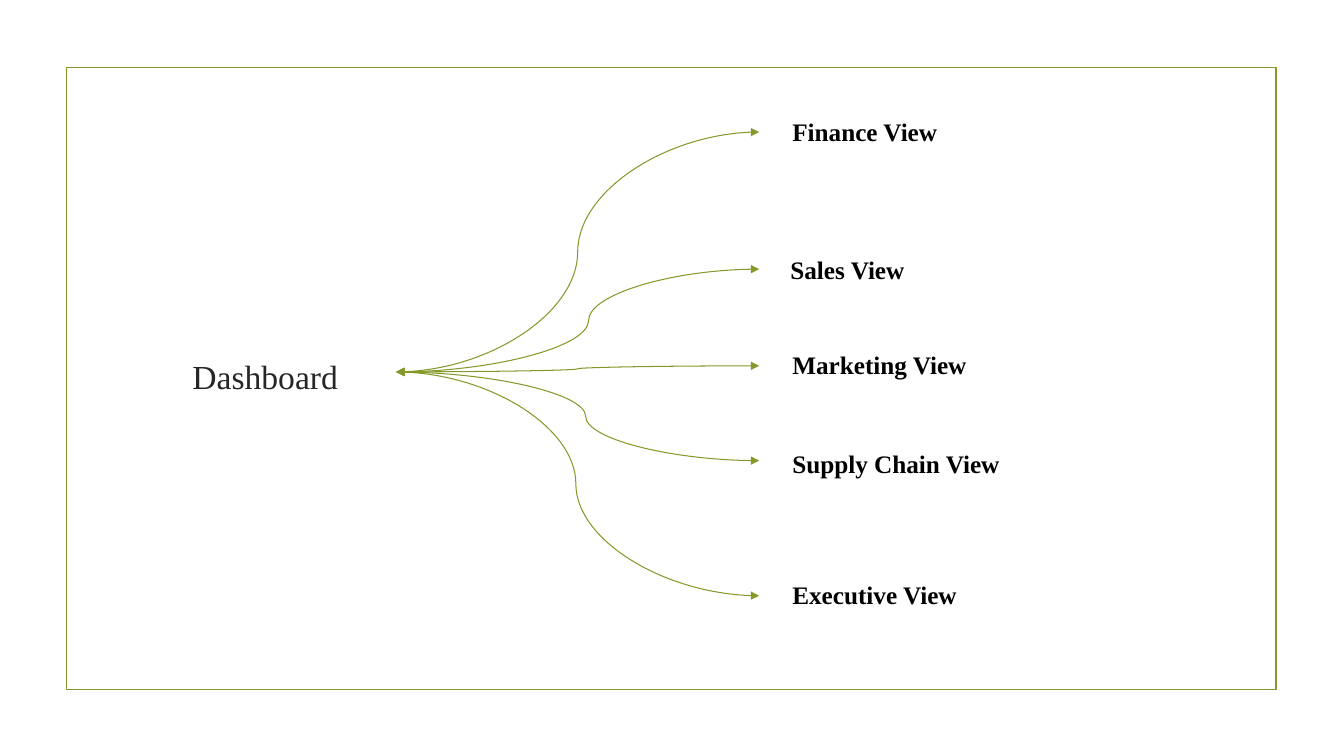
from lxml import etree
from pptx import Presentation
from pptx import util as u
from pptx.dml.color import RGBColor
from pptx.enum import shapes, text
from pptx.oxml.ns import qn

OLIVE = RGBColor(0x83, 0x99, 0x2A)
DARK = RGBColor(0x26, 0x26, 0x26)
BLACK = RGBColor(0, 0, 0)
PX = 9144  # 100 px to the inch


def emu(*px):
    return [u.Emu(n * PX) for n in px]


class Board:
    face = "Times New Roman"

    def __init__(self, deck):
        self.slide = deck.slides.add_slide(deck.slide_layouts[5])
        self.shapes = self.slide.shapes

    def fill(self, box, words, align, frame, font):
        tf = box.text_frame
        tf.text = words
        for key, val in frame.items():
            setattr(tf, key, val)
        para = tf.paragraphs[0]
        para.alignment = align
        run = para.runs[0].font
        run.color.rgb = font.pop("color")
        for key, val in font.items():
            setattr(run, key, val)

    def frame(self, *spot):
        box = self.shapes.add_shape(shapes.MSO_SHAPE.RECTANGLE, *emu(*spot))
        box.shadow.inherit = False
        box.fill.background()
        box.line.color.rgb = OLIVE
        box.line.width = u.Pt(1.25)

    def title(self, words, *spot):
        box = self.shapes.title
        box.left, box.top, box.width, box.height = emu(*spot)
        self.fill(box, words, text.PP_ALIGN.CENTER,
                  dict(word_wrap=True, auto_size=text.MSO_AUTO_SIZE.NONE,
                       vertical_anchor=text.MSO_ANCHOR.MIDDLE),
                  dict(name=self.face, size=u.Pt(24), color=DARK))

    def label(self, words, *spot):
        box = self.shapes.add_textbox(*emu(*spot))
        self.fill(box, words, text.PP_ALIGN.LEFT,
                  dict(word_wrap=True,
                       auto_size=text.MSO_AUTO_SIZE.SHAPE_TO_FIT_TEXT),
                  dict(name=self.face, size=u.Pt(18), bold=True, color=BLACK))

    def curve(self, bend, *ends):
        link = self.shapes.add_connector(shapes.MSO_CONNECTOR.CURVE, *emu(*ends))
        link.line.color.rgb = OLIVE
        link.line.width = u.Pt(0.75)
        # Arrowheads, bend point and no shadow
        props = link._element.spPr
        for tag in ("a:headEnd", "a:tailEnd"):
            etree.SubElement(props.find(qn("a:ln")), qn(tag), type="triangle")
        guides = props.find(qn("a:prstGeom")).find(qn("a:avLst"))
        etree.SubElement(guides, qn("a:gd"), name="adj1", fmla=f"val {bend * 100}")
        etree.SubElement(props, qn("a:effectLst"))


# Each view: name, label left, top and width, arrow tip, bend in 0.1 percent
VIEWS = [
    ("Finance View", 776, 111, 281, 131, 500),
    ("Sales View", 774, 247, 281, 267, 530),
    ("Marketing View", 776, 342, 328, 363, 500),
    ("Supply Chain View", 776, 440, 353, 457, 522),
    ("Executive View", 776, 570, 301, 591, 495),
]


def main():
    deck = Presentation()
    deck.slide_width, deck.slide_height = emu(1333, 750)
    board = Board(deck)

    # Border and hub
    board.frame(66, 67, 1200, 617)
    board.title("Dashboard", 153, 333, 220, 80)

    # Views and the arrows that reach them
    for name, left, top, width, tip, bend in VIEWS:
        board.label(name, left, top, width, 40)
        board.curve(bend, 393, 369, 753, tip)

    deck.save("out.pptx")


if __name__ == "__main__":
    main()
